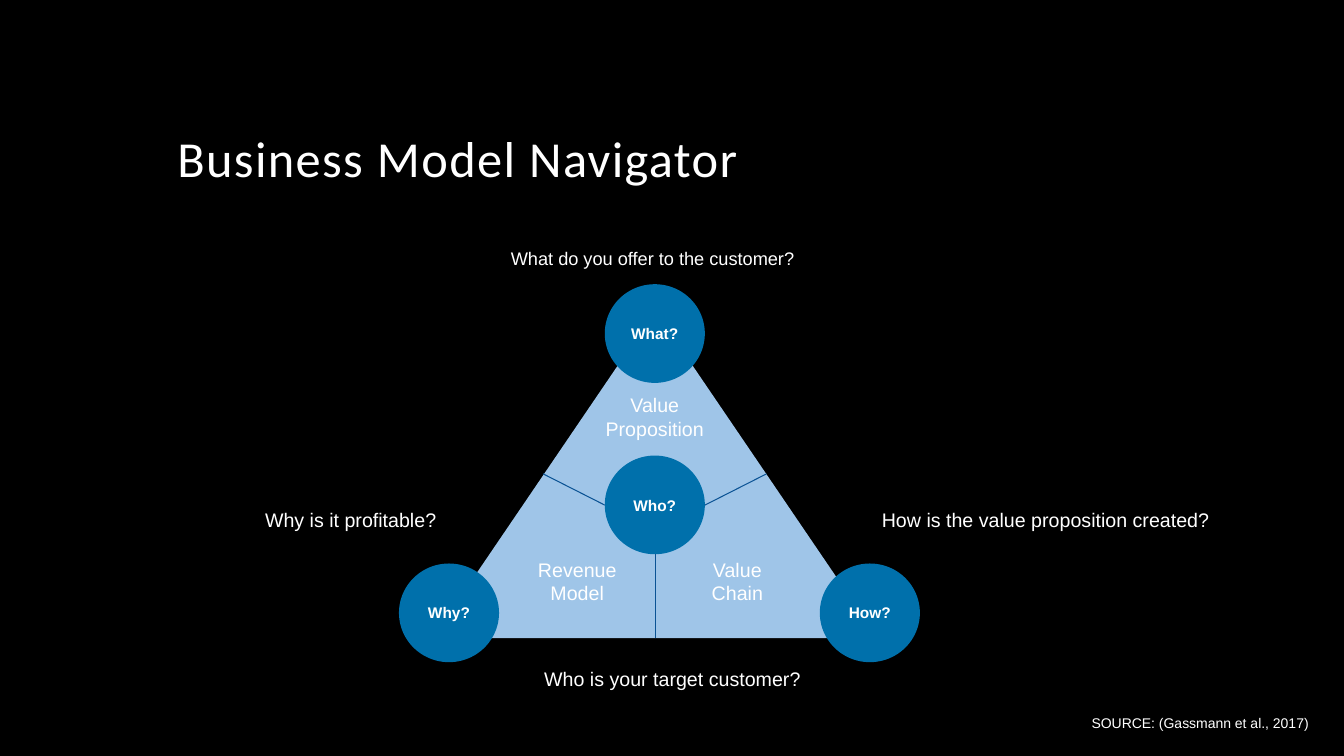
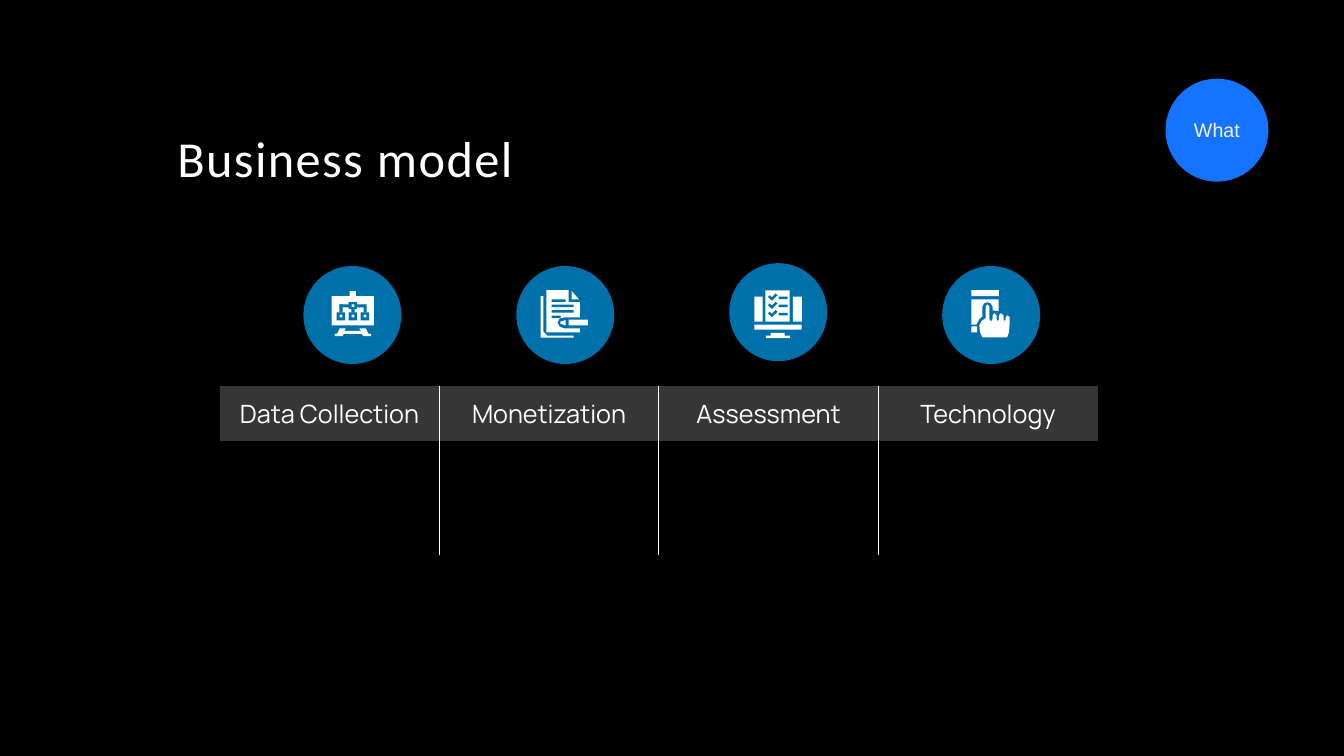
from lxml import etree
from pptx import Presentation
from pptx.dml.color import RGBColor
from pptx.enum.shapes import MSO_CONNECTOR, MSO_SHAPE
from pptx.enum.text import MSO_ANCHOR, MSO_AUTO_SIZE, PP_ALIGN
from pptx.oxml.ns import qn
from pptx.util import Pt

BLACK = RGBColor(0x00, 0x00, 0x00)
WHITE = RGBColor(0xFF, 0xFF, 0xFF)
OFF_WHITE = RGBColor(0xF2, 0xF2, 0xF2)
DISC_BLUE = RGBColor(0x00, 0x70, 0xAB)
BADGE_BLUE = RGBColor(0x14, 0x74, 0xFF)
PALE_BLUE = RGBColor(0x9F, 0xC5, 0xE8)
LINE_BLUE = RGBColor(0x0B, 0x53, 0x94)

ELLIPSE, TRIANGLE = MSO_SHAPE.OVAL, MSO_SHAPE.ISOSCELES_TRIANGLE
RECTANGLE = MSO_SHAPE.RECTANGLE
STRAIGHT = MSO_CONNECTOR.STRAIGHT
LEFT, CENTER = PP_ALIGN.LEFT, PP_ALIGN.CENTER
TOP, MIDDLE, BOTTOM = MSO_ANCHOR.TOP, MSO_ANCHOR.MIDDLE, MSO_ANCHOR.BOTTOM
NO_AUTOFIT = MSO_AUTO_SIZE.NONE

TITLE_ONLY = 5
TITLE_BOX = (119.5, 30.2, 720, 108)
INSET = 7.2
NO_STYLE_NO_GRID = "{2D5ABB26-0587-4C30-8999-92F81FD0307C}"

CIRCLE_SIZE = (71.5, 70.5)
CIRCLES = [("What?", 432, 203), ("Why?", 285, 402.5),
           ("How?", 585.6, 402.5), ("Who?", 432, 325.4)]
DIVIDERS = [(547.5, 338.5, 503.5, 360.8), (468, 396, 468, 455.8),
            (432, 360.8, 388, 338.5)]
AREAS = [("Value Proposition", 421.2, 273.6, 93),
         ("Revenue Model", 365.8, 391, 93),
         ("Value Chain", 488.2, 391, 77)]
QUESTIONS = [("What do you offer to the customer?", 357.8, 169.2, 13),
             ("Who is your target customer?", 381.6, 469.4, 14),
             ("Why is it profitable?", 182.2, 355.7, 14),
             ("How is the value proposition created?", 622.8, 355.7, 14),
             ("SOURCE: (Gassmann et al., 2017)", 772.6, 504, 10)]

DISC_SIZE = 70
DISC_LEFT, DISC_STEP = 216.7, 152.1
TABLE_BOX = (157, 275.8, 627.2, 120.3)
HEADER_HEIGHT = 39

BOARD_ICON = (
    [(WHITE, (20.2, 21.6, 30.2, 20.9)), (WHITE, (33, 18, 4.5, 4)),
     (DISC_BLUE, (32.4, 25.9, 5.8, 5)), (DISC_BLUE, (25.9, 27.4, 18.2, 2.2))]
    + [(DISC_BLUE, (left + 2, 27.4, 2.2, 6)) for left in (23.8, 32.4, 41)]
    + [(DISC_BLUE, (left, 33.1, 6, 5.8)) for left in (23.8, 32.4, 41)]
    + [(WHITE, (left + 2, 34.8, 2, 2)) for left in (23.8, 32.4, 41)]
    + [(WHITE, (34.4, 27.4, 2, 2)),
       (WHITE, [(25.9, 44.6), (30.2, 44.6), (29.2, 46.4), (41.2, 46.4),
                (40, 44.6), (44.6, 44.6), (46.4, 48.2), (48.4, 48.6),
                (48.4, 50), (42.8, 50), (41.5, 48.5), (28.8, 48.5),
                (28, 50), (22.3, 50), (22.3, 48.6), (24.3, 48.2)])])
DOCUMENT_ICON = (
    [(WHITE, [(17.3, 21.6), (19.4, 21.6), (19.4, 46.8), (22, 49.7),
              (41, 49.7), (41, 51.1), (17.3, 51.1)]),
     (WHITE, [(21.6, 17.3), (37.4, 17.3), (37.4, 25.9), (45.4, 25.9),
              (45.4, 47.5), (21.6, 47.5)]),
     (WHITE, [(39.6, 18), (39.6, 23.8), (44.8, 23.8)])]
    + [(DISC_BLUE, (25.2, 23.8 + 3.9 * row, width, 1.8))
       for row, width in enumerate((10, 15.8, 15.8, 6.5))]
    + [(DISC_BLUE, [(29.5, 40.5), (31, 37.6), (34.6, 36.7), (45.5, 36.7),
                    (45.5, 44.6), (34.6, 44.6), (31, 43.2)]),
       (WHITE, [(35.3, 38.6), (31.5, 39.8), (31.5, 41.2), (35.3, 42.5)]),
       (WHITE, (37.4, 38.4, 13.8, 4.1))])
CHECKLIST_ICON = (
    [(WHITE, (25.9, 19.4, 17.3, 22.3)), (WHITE, (18, 23.8, 5.8, 18)),
     (WHITE, (45.4, 23.8, 6.5, 18)), (WHITE, (18, 43.9, 33.8, 3.6)),
     (WHITE, (29.5, 49.7, 10.1, 2.2)), (WHITE, (26.2, 51.8, 17.3, 1.7))]
    + [(DISC_BLUE, (35.3, 23.8 + 5.8 * row, 6.5, 1.9)) for row in range(3)]
    + [(DISC_BLUE, [(x, y + 5.9 * row) for x, y in
                    ((27.6, 24.1), (28.8, 22.9), (30.5, 24.4),
                     (33.1, 21.6), (34.5, 22.9), (30.5, 26.8))])
       for row in range(3)])
TOUCH_ICON = [
    (WHITE, (20.9, 17.3, 19.6, 4.3)), (WHITE, (20.9, 43.2, 4.2, 4.3)),
    (WHITE, [(20.9, 23.8), (40.4, 23.8), (40.4, 32.2), (36, 31.7),
             (36, 28.8), (34.6, 26.6), (32.4, 25.9), (30, 26.6),
             (28.8, 28.8), (28.8, 36), (26.5, 38), (24.5, 41.8),
             (20.9, 41.8)]),
    (WHITE, [(32.4, 27.4), (31, 28.8), (31, 37.4), (28, 39.5),
             (26.6, 42.5), (27, 47), (28.8, 51.1), (46.4, 51.1),
             (47.7, 47.5), (48.2, 41.8), (48.2, 36.7), (46.8, 35.3),
             (45.4, 36.7), (45.4, 38.2), (44.6, 39.6), (43.9, 38.2),
             (43.9, 35.3), (42, 33.8), (40.5, 35.3), (40.5, 38.2),
             (39.7, 39.6), (38.9, 38.2), (38.9, 35.3), (37.4, 33.8),
             (36, 35.3), (36, 38.2), (34.8, 39.6), (33.8, 38.2),
             (33.8, 28.8)])]
COLUMNS = [("Data Collection", BOARD_ICON, 190), ("Monetization", DOCUMENT_ICON, 190),
           ("Assessment", CHECKLIST_ICON, 188), ("Technology", TOUCH_ICON, 190)]


def points(*lengths):
    """Convert plain numbers to point lengths."""
    return [Pt(length) for length in lengths]


def write_text(frame, text, *, size, font="Arial", color=WHITE, bold=False,
               align=LEFT, anchor=TOP, line_spacing=None, tracking=None):
    """Put one formatted paragraph into a text frame."""
    frame.word_wrap = True
    frame.vertical_anchor = anchor
    paragraph = frame.paragraphs[0]
    paragraph.alignment = align
    paragraph.line_spacing = line_spacing
    run = paragraph.add_run()
    run.text = text
    run.font.name = font
    run.font.size = Pt(size)
    run.font.bold = bold
    run.font.color.rgb = color
    if tracking:
        run._r.get_or_add_rPr().set("spc", str(tracking * 100))


def set_margins(holder):
    """Give a text frame or a table cell equal insets."""
    holder.margin_left = holder.margin_right = Pt(INSET)
    holder.margin_top = holder.margin_bottom = Pt(INSET)


def paint(shape, color):
    """Fill a shape flat, without outline or shadow."""
    shape.shadow.inherit = False
    shape.fill.solid()
    shape.fill.fore_color.rgb = color
    shape.line.fill.background()


def add_preset(shapes, kind, box, color):
    """Add a flat preset shape."""
    shape = shapes.add_shape(kind, *points(*box))
    paint(shape, color)
    return shape


def add_outline(shapes, corners, color):
    """Add a flat closed polygon."""
    start, *others = [points(*corner) for corner in corners]
    builder = shapes.build_freeform(*start)
    builder.add_line_segments(others)
    paint(builder.convert_to_shape(), color)


def add_labelled_circle(slide, text, box, fill, **text_format):
    """Add a circle with a centred label."""
    frame = add_preset(slide.shapes, ELLIPSE, box, fill).text_frame
    set_margins(frame)
    write_text(frame, text, align=CENTER, anchor=MIDDLE, **text_format)


def add_label(slide, text, box, **text_format):
    """Add a free text box."""
    frame = slide.shapes.add_textbox(*points(*box)).text_frame
    set_margins(frame)
    write_text(frame, text, **text_format)


def add_divider(slide, ends):
    """Add a thin line without shadow."""
    line = slide.shapes.add_connector(STRAIGHT, *points(*ends))
    line.line.color.rgb = LINE_BLUE
    line.line.width = Pt(0.75)
    etree.SubElement(line._element.spPr, qn("a:effectLst"))


def add_icon(slide, marks, left, top):
    """Draw an icon from boxes and polygons as one group."""
    shapes = slide.shapes.add_group_shape().shapes
    for color, geometry in marks:
        if isinstance(geometry, list):
            corners = [(left + x, top + y) for x, y in geometry]
            add_outline(shapes, corners, color)
        else:
            x, y, width, height = geometry
            add_preset(shapes, RECTANGLE, (left + x, top + y, width, height), color)


def add_cell_border(cell, side):
    """Draw a white vertical border on one side of a cell."""
    border = etree.Element(qn(f"a:{side}"), w=str(Pt(0.75)))
    fill = etree.SubElement(border, qn("a:solidFill"))
    etree.SubElement(fill, qn("a:srgbClr"), val=str(WHITE))
    cell._tc.get_or_add_tcPr().insert(0, border)


def fill_header(cell, text):
    """Give a header cell its translucent fill and its text."""
    cell.fill.solid()
    cell.fill.fore_color.rgb = WHITE
    color = cell._tc.tcPr.find(".//" + qn("a:srgbClr"))
    etree.SubElement(color, qn("a:alpha"), val="21000")
    write_text(cell.text_frame, text, size=18, font="Manrope", align=CENTER)


def add_column_table(slide, headings):
    """Add the table of headings over empty columns."""
    count = len(headings)
    table = slide.shapes.add_table(2, count, *points(*TABLE_BOX)).table
    table.first_row = table.horz_banding = False
    table._tbl.tblPr.find(qn("a:tableStyleId")).text = NO_STYLE_NO_GRID
    table.rows[0].height = Pt(HEADER_HEIGHT)
    table.rows[1].height = Pt(TABLE_BOX[3] - HEADER_HEIGHT)
    for column, heading in enumerate(headings):
        fill_header(table.cell(0, column), heading)
        table.cell(1, column).fill.background()
        for row in range(2):
            cell = table.cell(row, column)
            set_margins(cell)
            cell.vertical_anchor = MIDDLE
            if column < count - 1:
                add_cell_border(cell, "lnR")
            if column > 0:
                add_cell_border(cell, "lnL")


def set_up_template(presentation):
    """Set the page size, the background and the title position."""
    presentation.slide_width, presentation.slide_height = points(960, 540)
    background = presentation.slide_master.background.fill
    background.solid()
    background.fore_color.rgb = BLACK
    title = presentation.slide_layouts[TITLE_ONLY].placeholders[0]
    title.left, title.top, title.width, title.height = points(*TITLE_BOX)


def add_titled_slide(presentation, text):
    """Add a slide with the shared title style."""
    slide = presentation.slides.add_slide(presentation.slide_layouts[TITLE_ONLY])
    frame = slide.shapes.title.text_frame
    frame.auto_size = NO_AUTOFIT
    write_text(frame, text, size=36, font="Calibri", anchor=BOTTOM,
               line_spacing=0.9, tracking=1)
    return slide


def add_navigator_slide(presentation):
    """Build the triangle of business model questions."""
    slide = add_titled_slide(presentation, "Business Model Navigator")
    add_preset(slide.shapes, TRIANGLE, (308.9, 221.8, 318.2, 234), PALE_BLUE)
    for text, left, top in CIRCLES:
        add_labelled_circle(slide, text, (left, top, *CIRCLE_SIZE), DISC_BLUE,
                            size=11, bold=True)
    for ends in DIVIDERS:
        add_divider(slide, ends)
    for text, left, top, width in AREAS:
        add_label(slide, text, (left, top, width, 48), size=14, align=CENTER)
    for text, left, top, size in QUESTIONS:
        width = min(270, 960 - left)
        add_label(slide, text, (left, top, width, size * 1.2 + 2 * INSET), size=size)


def add_model_slide(presentation):
    """Build the four business model columns with their icons."""
    slide = add_titled_slide(presentation, "Business model")
    add_column_table(slide, [heading for heading, _, _ in COLUMNS])
    for index, (_, icon, top) in enumerate(COLUMNS):
        left = DISC_LEFT + index * DISC_STEP
        add_preset(slide.shapes, ELLIPSE, (left, top, DISC_SIZE, DISC_SIZE), DISC_BLUE)
        add_icon(slide, icon, left, top)
    add_labelled_circle(slide, "What", (832.5, 56.2, 73.5, 73.5), BADGE_BLUE,
                        size=14, color=OFF_WHITE)


def main():
    """Build and save the presentation."""
    presentation = Presentation()
    set_up_template(presentation)
    add_navigator_slide(presentation)
    add_model_slide(presentation)
    presentation.save("out.pptx")


if __name__ == "__main__":
    main()
